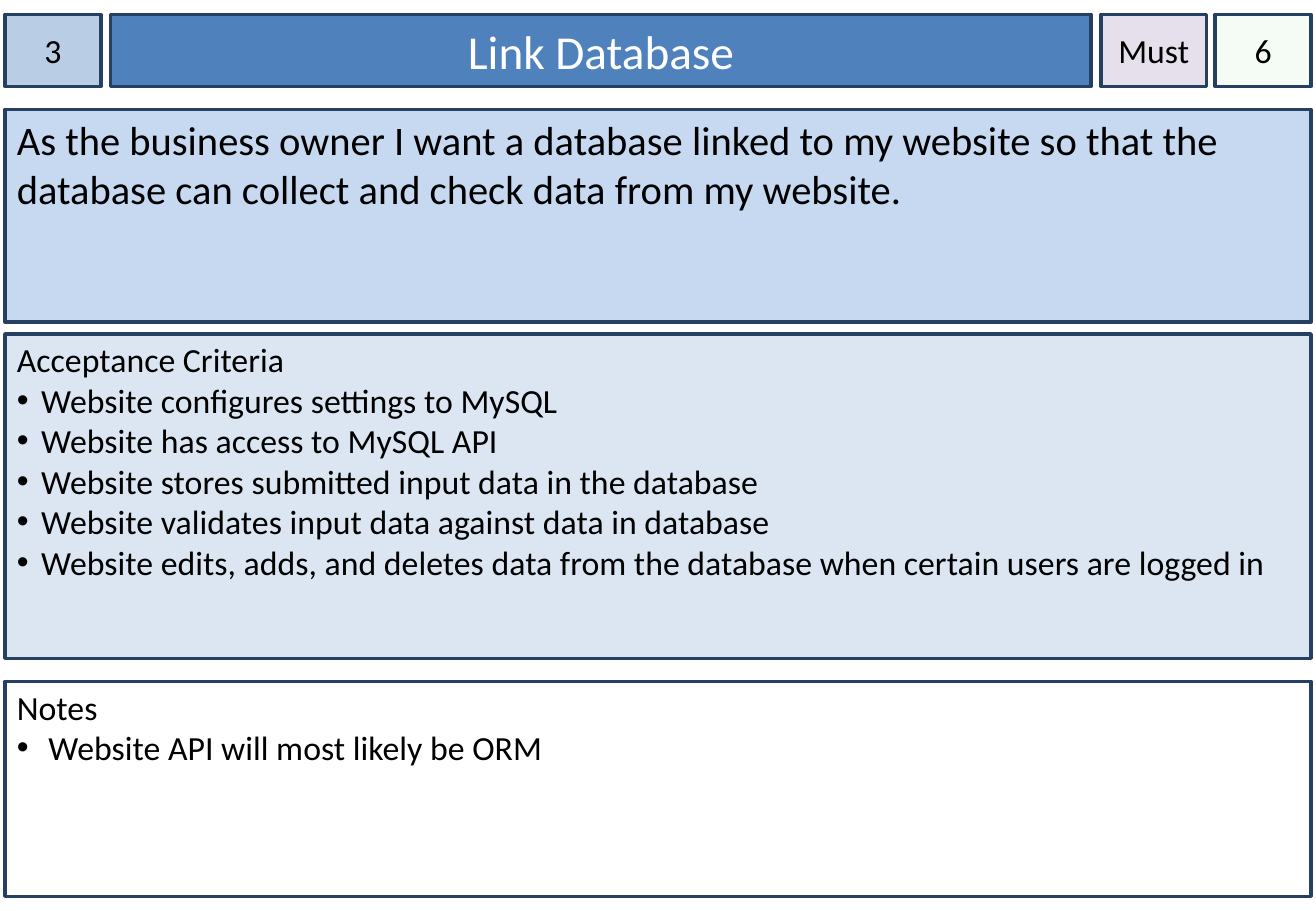
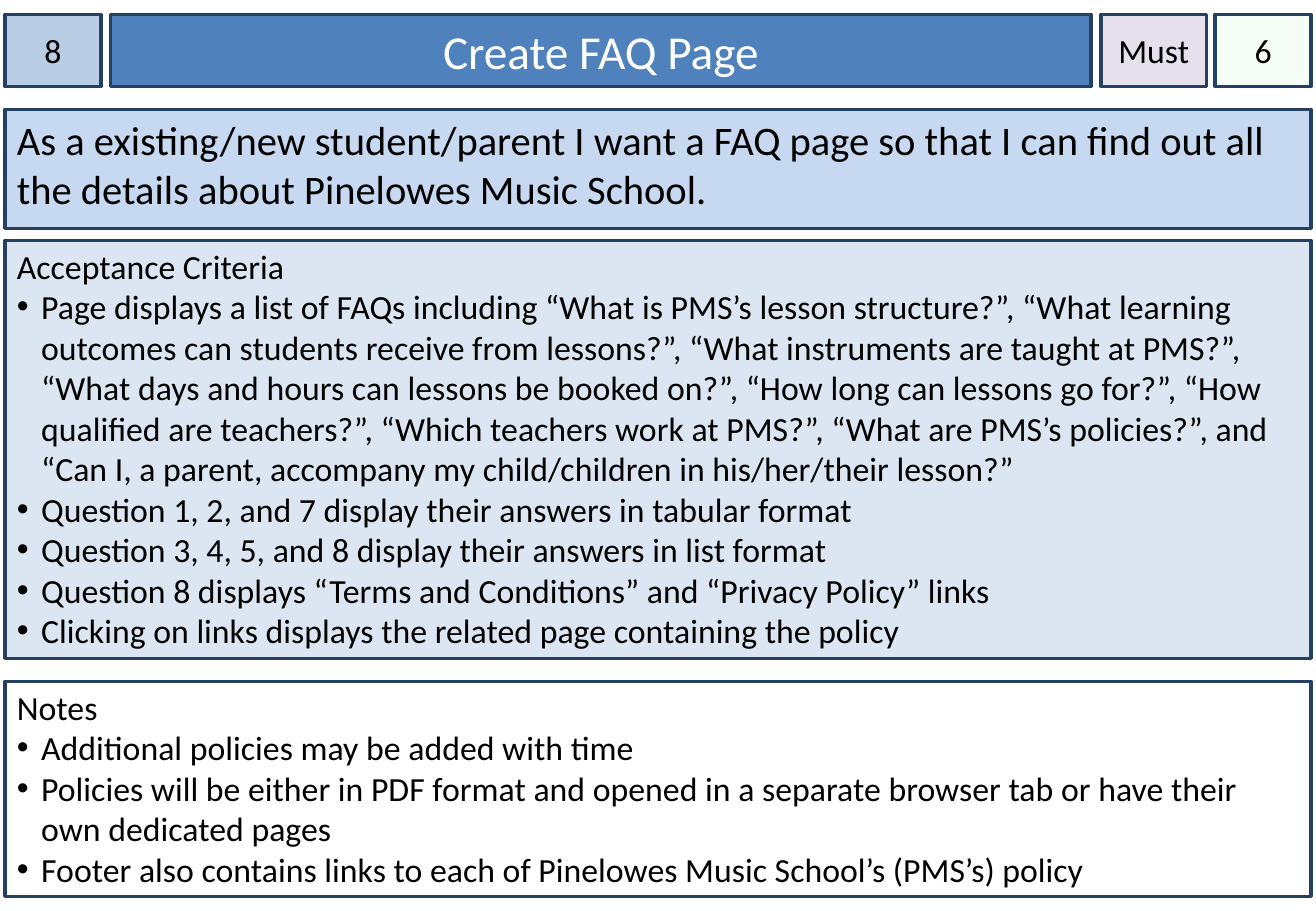
from dataclasses import dataclass

from lxml import etree
from pptx import Presentation
from pptx.dml.color import RGBColor
from pptx.enum.shapes import MSO_SHAPE
from pptx.enum.text import MSO_ANCHOR, PP_ALIGN
from pptx.oxml.ns import qn
from pptx.util import Inches, Pt

RECTANGLE = MSO_SHAPE.RECTANGLE
MIDDLE, TOP = MSO_ANCHOR.MIDDLE, MSO_ANCHOR.TOP
CENTER, LEFT = PP_ALIGN.CENTER, PP_ALIGN.LEFT

FONT = "Calibri"
BLACK = RGBColor(0x00, 0x00, 0x00)
WHITE = RGBColor(0xFF, 0xFF, 0xFF)
NAVY = RGBColor(0x25, 0x40, 0x61)
TITLE_BLUE = RGBColor(0x4F, 0x81, 0xBD)
NUMBER_BLUE = RGBColor(0xB9, 0xCD, 0xE5)
STORY_BLUE = RGBColor(0xC6, 0xD9, 0xF1)
CRITERIA_BLUE = RGBColor(0xDC, 0xE6, 0xF2)
PRIORITY_LILAC = RGBColor(0xE6, 0xE0, 0xEC)
ESTIMATE_GREEN = RGBColor(0xCC, 0xF0, 0xCD)

EDGE, PANEL_WIDTH = 0.04, 10.75
HEADER_TOP, HEADER_HEIGHT = 0.12, 0.59
STORY_TOP, STORY_GAP = 0.9, 0.1
CRITERIA_BOTTOM = 5.42
REMARKS_TOP, REMARKS_HEIGHT = 5.61, 1.77


@dataclass
class StoryCard:
    number: str
    title: str
    priority: str
    estimate: str
    story: str
    criteria: list
    remarks: list
    criteria_top: float
    remark_indent: float = 0.2


CARDS = [
    StoryCard(
        number="3",
        title="Link Database",
        priority="Must",
        estimate="6",
        story="As the business owner I want a database linked to my website so that "
              "the database can collect and check data from my website.",
        criteria=[
            "Website configures settings to MySQL",
            "Website has access to MySQL API",
            "Website stores submitted input data in the database",
            "Website validates input data against data in database",
            "Website edits, adds, and deletes data from the database when certain "
            "users are logged in",
        ],
        remarks=["Website API will most likely be ORM"],
        criteria_top=2.75,
        remark_indent=0.26,
    ),
    StoryCard(
        number="8",
        title="Create FAQ Page",
        priority="Must",
        estimate="6",
        story="As a existing/new student/parent I want a FAQ page so that I can find "
              "out all the details about Pinelowes Music School.",
        criteria=[
            "Page displays a list of FAQs including “What is PMS’s lesson structure?”, "
            "“What learning outcomes can students receive from lessons?”, “What "
            "instruments are taught at PMS?”, “What days and hours can lessons be "
            "booked on?”, “How long can lessons go for?”, “How qualified are "
            "teachers?”, “Which teachers work at PMS?”, “What are PMS’s policies?”, "
            "and “Can I, a parent, accompany my child/children in his/her/their "
            "lesson?”",
            "Question 1, 2, and 7 display their answers in tabular format",
            "Question 3, 4, 5, and 8 display their answers in list format",
            "Question 8 displays “Terms and Conditions” and “Privacy Policy” links",
            "Clicking on links displays the related page containing the policy",
        ],
        remarks=[
            "Additional policies may be added with time",
            "Policies will be either in PDF format and opened in a separate browser "
            "tab or have their own dedicated pages",
            "Footer also contains links to each of Pinelowes Music School’s (PMS’s) "
            "policy",
        ],
        criteria_top=1.98,
    ),
]


def set_opacity(shape, percent):
    color = shape.fill._xPr.find(qn("a:solidFill"))[0]
    etree.SubElement(color, qn("a:alpha")).set("val", str(percent * 1000))


def add_box(slide, left, top, width, height, fill, anchor=TOP, side=0.1, inset_top=0.05):
    box = slide.shapes.add_shape(
        RECTANGLE, Inches(left), Inches(top), Inches(width), Inches(height))
    box.shadow.inherit = False
    box.fill.solid()
    box.fill.fore_color.rgb = fill
    box.line.color.rgb = NAVY
    box.line.width = Pt(2)
    frame = box.text_frame
    frame.word_wrap = True
    frame.vertical_anchor = anchor
    frame.margin_left = frame.margin_right = Inches(side)
    frame.margin_top, frame.margin_bottom = Inches(inset_top), Inches(0.05)
    return box


def add_bullet(paragraph, indent):
    properties = paragraph._p.get_or_add_pPr()
    properties.set("marL", str(Inches(indent)))
    properties.set("indent", str(-Inches(indent)))
    etree.SubElement(properties, qn("a:buFont")).set("typeface", "Arial")
    etree.SubElement(properties, qn("a:buChar")).set("char", "•")


def write(paragraph, text, size=20, color=BLACK, align=LEFT, bullet_indent=None):
    if bullet_indent is not None:
        add_bullet(paragraph, bullet_indent)
    paragraph.alignment = align
    run = paragraph.add_run()
    run.text = text
    run.font.name = FONT
    run.font.size = Pt(size)
    run.font.color.rgb = color


def add_header_box(slide, text, left, width, fill, side=0, **text_format):
    box = add_box(slide, left, HEADER_TOP, width, HEADER_HEIGHT, fill, MIDDLE, side)
    write(box.text_frame.paragraphs[0], text, align=CENTER, **text_format)
    return box


def add_list_panel(slide, heading, items, top, height, fill, indent=0.2):
    frame = add_box(slide, EDGE, top, PANEL_WIDTH, height, fill, inset_top=0.04).text_frame
    write(frame.paragraphs[0], heading)
    for item in items:
        write(frame.add_paragraph(), item, bullet_indent=indent)


def add_card(slide, card):
    add_header_box(slide, card.number, EDGE, 0.79, NUMBER_BLUE)
    add_header_box(slide, card.title, 0.91, 8.07, TITLE_BLUE, side=0.1, size=28, color=WHITE)
    add_header_box(slide, card.priority, 9.06, 0.87, PRIORITY_LILAC)
    estimate = add_header_box(slide, card.estimate, 10, 0.79, ESTIMATE_GREEN)
    set_opacity(estimate, 20)

    story_height = card.criteria_top - STORY_GAP - STORY_TOP
    story = add_box(slide, EDGE, STORY_TOP, PANEL_WIDTH, story_height, STORY_BLUE)
    write(story.text_frame.paragraphs[0], card.story, size=24)

    add_list_panel(slide, "Acceptance Criteria", card.criteria, card.criteria_top,
                   CRITERIA_BOTTOM - card.criteria_top, CRITERIA_BLUE)
    add_list_panel(slide, "Notes", card.remarks, REMARKS_TOP, REMARKS_HEIGHT, WHITE,
                   card.remark_indent)


def main():
    presentation = Presentation()
    presentation.slide_width = Inches(10.83)
    presentation.slide_height = Inches(7.5)
    blank = presentation.slide_layouts[6]
    for card in CARDS:
        add_card(presentation.slides.add_slide(blank), card)
    presentation.save("out.pptx")


if __name__ == "__main__":
    main()
